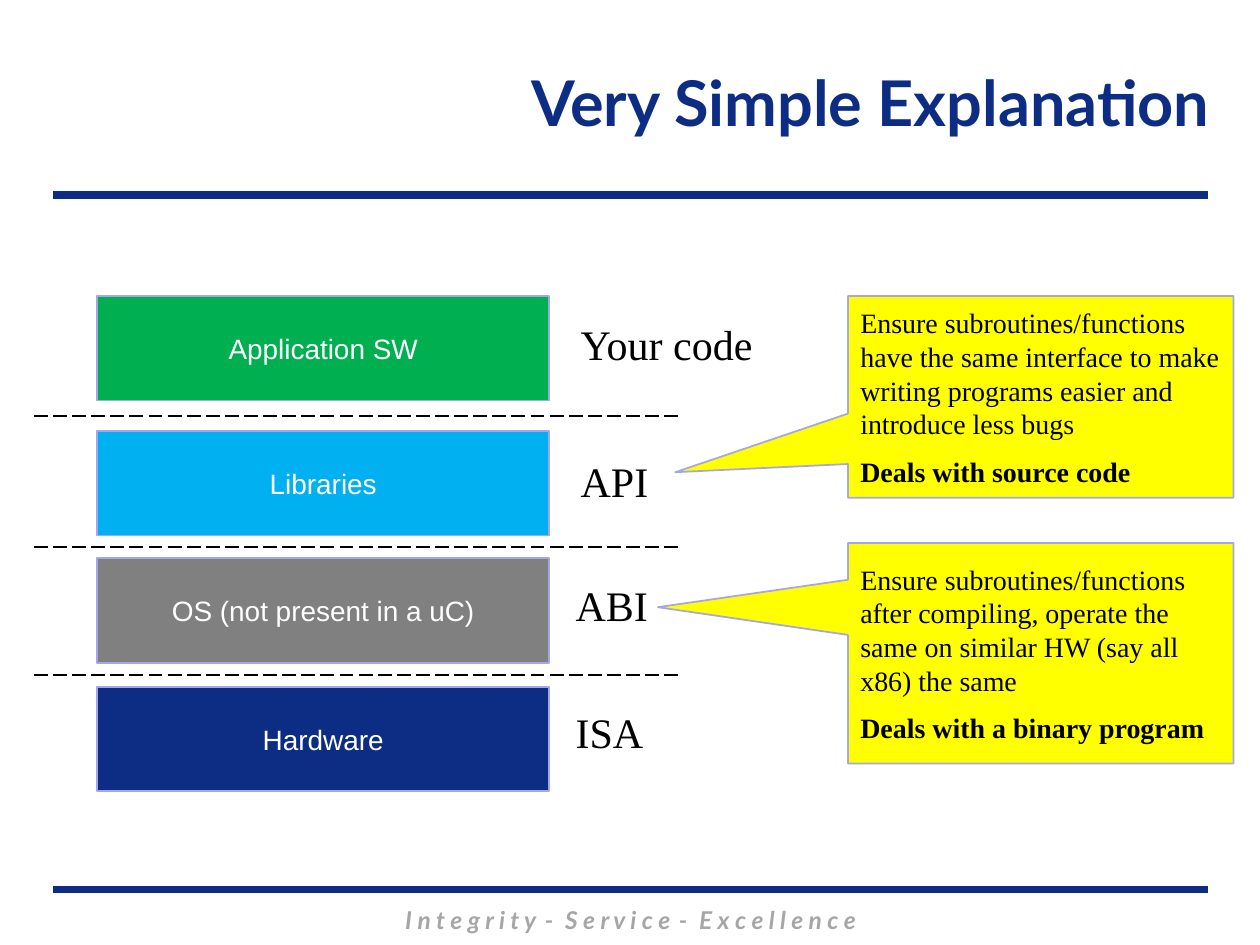
from dataclasses import dataclass

from lxml import etree
from pptx import Presentation
from pptx import util as u
from pptx.dml.color import RGBColor
from pptx.enum import dml, shapes, text
from pptx.oxml.ns import qn


@dataclass(frozen=True)
class Theme:
    navy: str = "0C2D83"
    grey: str = "808080"
    blue: str = "00B0F0"
    green: str = "00B050"
    yellow: str = "FFFF00"
    outline: str = "A5A5E9"
    motto: str = "A6A6A6"
    black: str = "000000"
    white: str = "FFFFFF"
    heading: str = "Lato"
    sans: str = "Arial"
    serif: str = "Times New Roman"
    title_size: int = 36
    label_size: int = 24
    body_size: int = 16
    motto_size: int = 14


THEME = Theme()
TITLE = "Very Simple Explanation"
MOTTO = ["I n t e g r i t y", "S e r v i c e", "E x c e l l e n c e"]

# layer name, fill, top, then interface label with its left, top and width
LAYERS = [
    ("Application SW", THEME.green, 2.35, "Your code", 4.51, 2.48, 1.6),
    ("Libraries", THEME.blue, 3.42, "API", 4.51, 3.57, 0.85),
    ("OS (not present in a uC)", THEME.grey, 4.43, "ABI", 4.47, 4.55, 0.85),
    ("Hardware", THEME.navy, 5.45, "ISA", 4.47, 5.56, 0.85),
]
# top, height, pointer tip as shares of the box from its centre, texts
CALLOUTS = [
    (2.35, 1.6, (-0.948, 0.374),
     "Ensure subroutines/functions have the same interface to make writing "
     "programs easier and introduce less bugs",
     "Deals with source code"),
    (4.31, 1.75, (-0.993, -0.209),
     "Ensure subroutines/functions after compiling, operate the same on "
     "similar HW (say all x86) the same",
     "Deals with a binary program"),
]
RULE_SPAN, RULE_ROWS = (0.42, 9.59), (7.06, 1.55)
DIVIDER_SPAN = (0.27, 5.39)
LAYER_LEFT, LAYER_WIDTH, LAYER_HEIGHT = 0.77, 3.59, 0.83
LABEL_HEIGHT = 0.5
CALLOUT_LEFT, CALLOUT_WIDTH = 6.73, 3.06


def inches(*lengths):
    return [u.Inches(length) for length in lengths]


def add_run(paragraph, words, font, size, color, bold=False, italic=False):
    run = paragraph.add_run()
    run.text = words
    run.font.name, run.font.size = font, u.Pt(size)
    run.font.bold, run.font.italic = bold, italic
    run.font.color.rgb = RGBColor.from_string(color)
    return run


def add_rule(slide, span, y, color, width, dash=None):
    left, right = span
    line = slide.shapes.add_connector(
        shapes.MSO_CONNECTOR.STRAIGHT, *inches(left, y, right, y))
    line.line.color.rgb = RGBColor.from_string(color)
    line.line.width = u.Pt(width)
    if dash:
        line.line.dash_style = dash
    etree.SubElement(line._element.spPr, qn("a:effectLst"))


def add_box(slide, kind, bounds, fill):
    shape = slide.shapes.add_shape(kind, *inches(*bounds))
    shape.shadow.inherit = False
    shape.fill.solid()
    shape.fill.fore_color.rgb = RGBColor.from_string(fill)
    shape.line.color.rgb = RGBColor.from_string(THEME.outline)
    shape.line.width = u.Pt(1)
    shape.text_frame.word_wrap = True
    shape.text_frame.vertical_anchor = text.MSO_ANCHOR.MIDDLE
    return shape


def add_frame(slide, title):
    for y in RULE_ROWS:
        add_rule(slide, RULE_SPAN, y, THEME.navy, 4.5)

    heading = slide.shapes.title
    heading.left, heading.top, heading.width, heading.height = inches(2, 0.2, 7.7, 1.2)
    heading.text_frame.auto_size = text.MSO_AUTO_SIZE.NONE
    heading.text_frame.vertical_anchor = text.MSO_ANCHOR.MIDDLE
    paragraph = heading.text_frame.paragraphs[0]
    paragraph.alignment = text.PP_ALIGN.RIGHT
    add_run(paragraph, title, THEME.heading, THEME.title_size, THEME.navy, bold=True)

    footer = slide.shapes.add_textbox(*inches(1.42, 7.13, 7.17, 0.34))
    footer.text_frame.word_wrap = True
    paragraph = footer.text_frame.paragraphs[0]
    paragraph.alignment = text.PP_ALIGN.CENTER
    style = (THEME.heading, THEME.motto_size, THEME.motto, True, True)
    for index, word in enumerate(MOTTO):
        if index:
            dash = add_run(paragraph, " - ", *style)
            dash.font._element.set("spc", "180")  # wider gaps around the dash
        add_run(paragraph, word, *style)


def add_layer(slide, name, fill, top, label, label_left, label_top, label_width):
    box = add_box(slide, shapes.MSO_SHAPE.RECTANGLE,
                  (LAYER_LEFT, top, LAYER_WIDTH, LAYER_HEIGHT), fill)
    paragraph = box.text_frame.paragraphs[0]
    paragraph.alignment = text.PP_ALIGN.CENTER
    add_run(paragraph, name, THEME.sans, THEME.body_size, THEME.white)

    label_box = slide.shapes.add_textbox(
        *inches(label_left, label_top, label_width, LABEL_HEIGHT))
    label_box.text_frame.word_wrap = True
    add_run(label_box.text_frame.paragraphs[0], label,
            THEME.serif, THEME.label_size, THEME.black)


def add_callout(slide, top, height, tip, explanation, summary):
    callout = add_box(slide, shapes.MSO_SHAPE.RECTANGULAR_CALLOUT,
                      (CALLOUT_LEFT, top, CALLOUT_WIDTH, height), THEME.yellow)
    callout.adjustments[0], callout.adjustments[1] = tip
    first = callout.text_frame.paragraphs[0]
    second = callout.text_frame.add_paragraph()
    second.space_before = u.Pt(THEME.body_size / 2)
    for paragraph, words in ((first, explanation), (second, summary)):
        paragraph.alignment = text.PP_ALIGN.LEFT
        add_run(paragraph, words, THEME.serif, THEME.body_size, THEME.black,
                bold=paragraph is second)


def main():
    presentation = Presentation()
    presentation.slide_width, presentation.slide_height = inches(10, 7.5)
    slide = presentation.slides.add_slide(presentation.slide_layouts[5])
    add_frame(slide, TITLE)
    for layer in LAYERS:
        add_layer(slide, *layer)
    for upper, lower in zip(LAYERS, LAYERS[1:]):
        middle = (upper[2] + LAYER_HEIGHT + lower[2]) / 2
        add_rule(slide, DIVIDER_SPAN, middle, THEME.black, 1,
                 dml.MSO_LINE.LONG_DASH)
    for callout in CALLOUTS:
        add_callout(slide, *callout)
    presentation.save("out.pptx")


if __name__ == "__main__":
    main()
